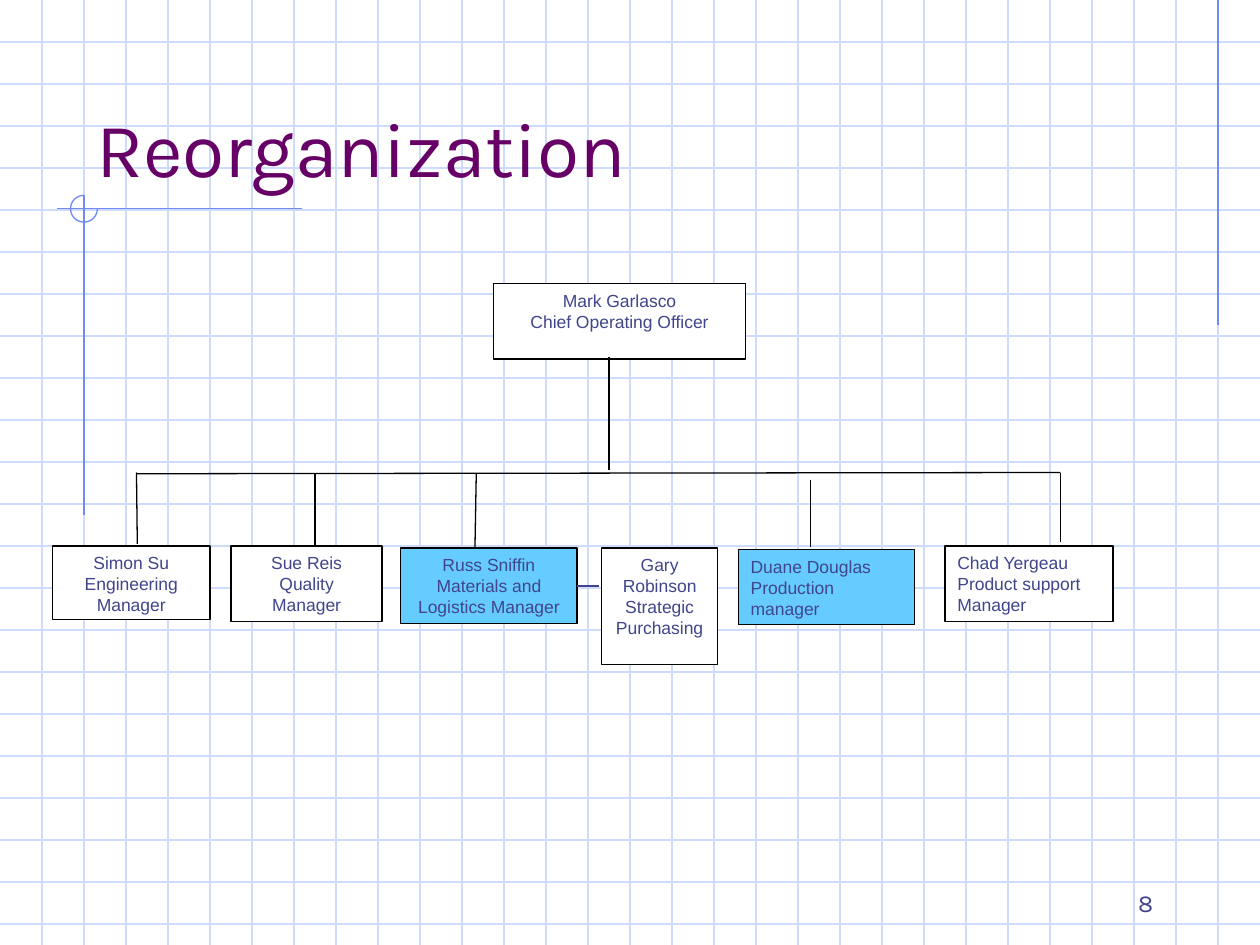
"""Build the reorganization chart slide on a graph-paper background."""
from pptx import Presentation
from pptx.dml.color import RGBColor
from pptx.enum.shapes import MSO_CONNECTOR, MSO_SHAPE
from pptx.enum.text import MSO_ANCHOR, PP_ALIGN
from pptx.oxml.ns import qn
from pptx.util import Inches, Pt
from lxml.etree import SubElement

WHITE = RGBColor(0xFF, 0xFF, 0xFF)
BLACK = RGBColor(0x00, 0x00, 0x00)
SKY = RGBColor(0x66, 0xCC, 0xFF)
INDIGO = RGBColor(0x40, 0x45, 0x8C)
PURPLE = RGBColor(0x66, 0x00, 0x66)
GRID = RGBColor(0xCF, 0xDB, 0xFD)
ACCENT = RGBColor(0x6F, 0x89, 0xF7)

COLUMNS, ROWS = 30, 22.5
CELL = Inches(10) / COLUMNS

TITLE_FORMAT = {"name": "Karla", "size": Pt(44)}
NUMBER_FORMAT = {"name": "Karla", "size": Pt(14)}
STAFF_FORMAT = {"name": "Arial", "size": Pt(10)}

CENTER, LEFT, RIGHT = PP_ALIGN.CENTER, PP_ALIGN.LEFT, PP_ALIGN.RIGHT

STAFF = [
    (("Mark Garlasco", "Chief Operating Officer"), (11.75, 6.75, 6, 1.8), WHITE, CENTER),
    (("Simon Su", "Engineering Manager"), (1.25, 13, 3.75, 1.75), WHITE, CENTER),
    (("Sue Reis", "Quality Manager"), (5.5, 13, 3.6, 1.8), WHITE, CENTER),
    (("Russ Sniffin", "Materials and Logistics Manager"), (9.54, 13.05, 4.2, 1.8), SKY, CENTER),
    (("Gary Robinson", "Strategic Purchasing"), (14.33, 13.05, 2.75, 2.77), WHITE, CENTER),
    (("Duane Douglas", "Production manager"), (17.58, 13.08, 4.2, 1.8), SKY, LEFT),
    (("Chad Yergeau Product support", "Manager"), (22.5, 13, 4, 1.8), WHITE, LEFT),
]

ACCENT_LINES = [(29, 0, 29, 7.75), (7.2, 4.97, 1.35, 4.97), (2, 4.65, 2, 12.27)]
RING = (1.68, 4.65, 0.64, 0.64)

REPORTING_LINES = [
    (14.5, 8.5, 14.5, 11.2),
    (3.25, 11.28, 25.25, 11.25),
    (3.25, 11.25, 3.27, 12.95),
    (7.5, 11.25, 7.5, 13),
    (11.34, 11.28, 11.31, 13.02),
    (19.3, 11.43, 19.3, 13.02),
    (25.25, 11.25, 25.25, 12.9),
]
PURCHASING_LINK = (13.74, 13.95, 14.25, 13.95)


def cells(values):
    return [round(value * CELL) for value in values]


def add_line(page, ends, color):
    line = page.shapes.add_connector(MSO_CONNECTOR.STRAIGHT, *cells(ends))
    line.line.color.rgb = color
    line.line.width = Pt(0.75)
    SubElement(line._element.spPr, qn("a:effectLst"))
    return line


def add_outline(page, kind, place, color):
    shape = page.shapes.add_shape(kind, *cells(place))
    shape.shadow.inherit = False
    shape.line.color.rgb = color
    shape.line.width = Pt(0.75)
    return shape


def write(shape, lines, formats, color, align, anchor):
    frame = shape.text_frame
    frame.word_wrap = True
    frame.vertical_anchor = anchor
    frame.text = "\n".join(lines)
    for paragraph in frame.paragraphs:
        paragraph.alignment = align
        for span in paragraph.runs:
            span.font.color.rgb = color
            for name, value in formats.items():
                setattr(span.font, name, value)


def add_background(page):
    for row in range(1, int(ROWS) + 1):
        add_line(page, (0, row, COLUMNS, row), GRID)
    for column in range(1, COLUMNS):
        add_line(page, (column, 0, column, ROWS), GRID)
    for ends in ACCENT_LINES:
        add_line(page, ends, ACCENT)
    ring = add_outline(page, MSO_SHAPE.ARC, RING, ACCENT)
    ring.fill.background()
    ring.adjustments[0], ring.adjustments[1] = 0, 162


def add_chart_boxes(page):
    boxes = {}
    for lines, place, fill, align in STAFF:
        box = add_outline(page, MSO_SHAPE.RECTANGLE, place, BLACK)
        box.fill.solid()
        box.fill.fore_color.rgb = fill
        write(box, lines, STAFF_FORMAT, INDIGO, align, MSO_ANCHOR.TOP)
        boxes[lines[0]] = box
    return boxes


def main():
    deck = Presentation()
    deck.slide_width, deck.slide_height = cells((COLUMNS, ROWS))
    page = deck.slides.add_slide(deck.slide_layouts[6])
    add_background(page)

    title = page.shapes.add_textbox(*cells((2, 1, 20.75, 3.75)))
    write(title, ["Reorganization"], TITLE_FORMAT, PURPLE, LEFT, MSO_ANCHOR.BOTTOM)

    boxes = add_chart_boxes(page)
    for ends in REPORTING_LINES:
        add_line(page, ends, BLACK)
    link = add_line(page, PURCHASING_LINK, INDIGO)
    link.begin_connect(boxes["Russ Sniffin"], 3)

    number = page.shapes.add_textbox(*cells((21.5, 20.5, 6.25, 1.5)))
    write(number, ["8"], NUMBER_FORMAT, INDIGO, RIGHT, MSO_ANCHOR.BOTTOM)
    deck.save("out.pptx")


if __name__ == "__main__":
    main()
